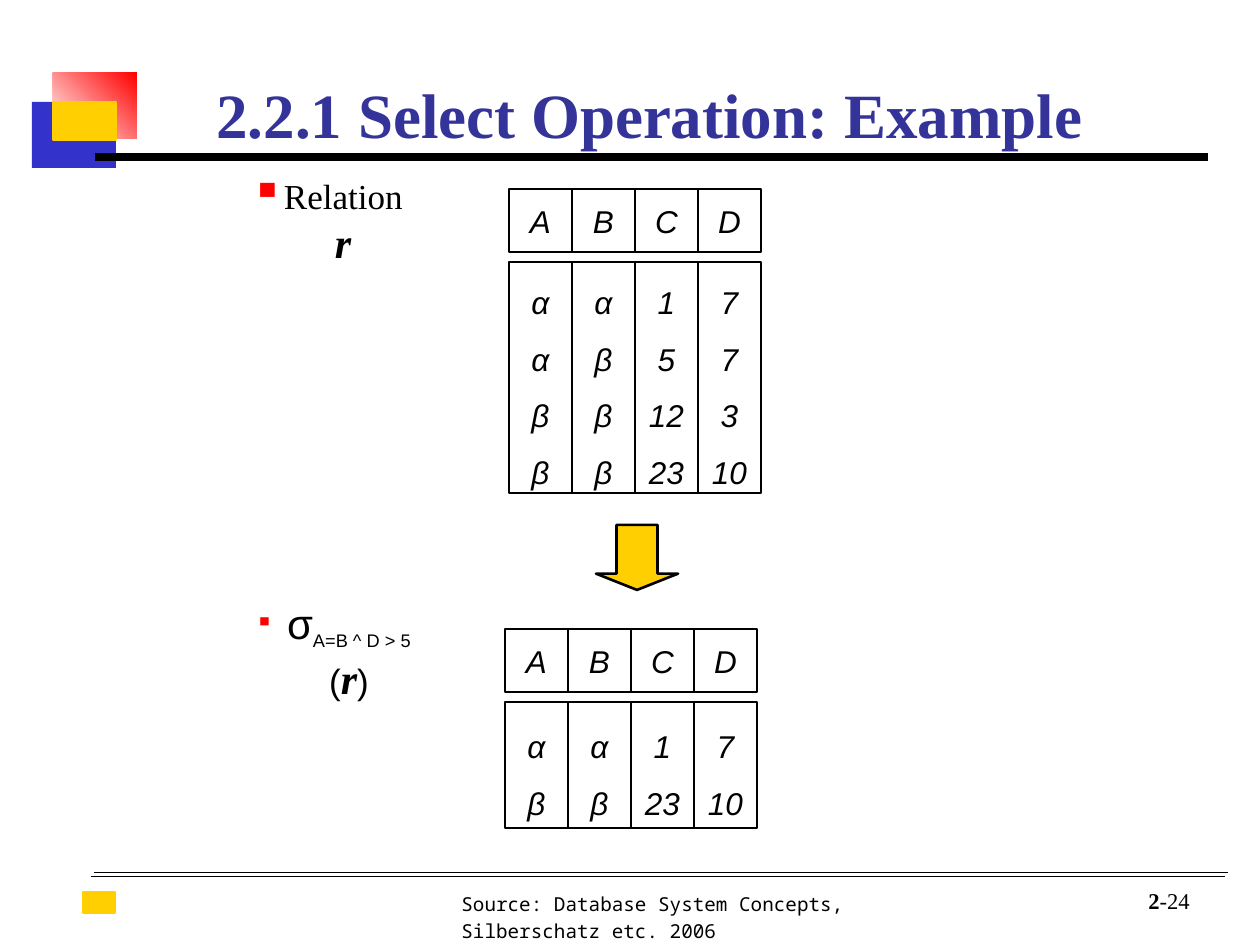
from lxml.etree import SubElement
from pptx import Presentation
from pptx.dml.color import RGBColor
from pptx.enum.shapes import MSO_CONNECTOR as Connector, MSO_SHAPE as Shape
from pptx.enum.text import MSO_ANCHOR as Anchor, PP_ALIGN as Align
from pptx.oxml.ns import qn
from pptx.util import Pt

SCALE = 914400 / 126
COLORS = {"black": "000000", "white": "FFFFFF", "blue": "3333CC",
          "title": "333399", "red": "FF0000", "gold": "FFCF01"}
SERIF, SANS, MONO = "Times New Roman", "Arial", "Noto Sans Mono"
CELL, GAP = 63, 10


def px(length):
    """Turn px into EMU."""
    return round(length * SCALE)


def rgb(name):
    """Look up a named colour."""
    return RGBColor.from_string(COLORS[name])


def style(span, size, font, color="black", bold=False, italic=False, baseline=0):
    """Format one run."""
    span.font.size, span.font.name = Pt(size), font
    span.font.bold, span.font.italic = bold, italic
    span.font.color.rgb = rgb(color)
    if baseline:
        span._r.get_or_add_rPr().set("baseline", str(baseline * 1000))


def add_spans(para, spans):
    """Fill a paragraph with (text, format) pairs."""
    for text, look in spans:
        span = para.add_run()
        span.text = text
        style(span, **look)


def add_text(parent, box, spans, align=Align.LEFT, anchor=Anchor.TOP, wrap=True):
    """Place a one-paragraph text box and return it."""
    label = parent.shapes.add_textbox(*map(px, box))
    frame = label.text_frame
    frame.word_wrap, frame.vertical_anchor = wrap, anchor
    para = frame.paragraphs[0]
    para.alignment = align
    add_spans(para, spans)
    return label


def add_block(parent, box, fill, line=None, width=0.75, shape=Shape.RECTANGLE):
    """Place a plain filled shape and return it."""
    block = parent.shapes.add_shape(shape, *map(px, box))
    block.shadow.inherit = False
    block.fill.solid()
    block.fill.fore_color.rgb = rgb(fill)
    if line:
        block.line.color.rgb = rgb(line)
        block.line.width = Pt(width)
    else:
        block.line.fill.background()
    return block


def add_rule(page, left, right, y, width):
    """Draw a horizontal black line."""
    rule = page.shapes.add_connector(Connector.STRAIGHT, px(left), px(y), px(right), px(y))
    rule.line.color.rgb = rgb("black")
    rule.line.width = Pt(width)
    SubElement(rule._element.spPr, qn("a:effectLst"))


def add_bullet(para, percent):
    """Give a paragraph a hanging red square bullet."""
    props = para._p.get_or_add_pPr()
    props.set("marL", str(px(32)))
    props.set("indent", str(-px(32)))
    color = SubElement(props, qn("a:buClr"))
    SubElement(color, qn("a:srgbClr"), val=COLORS["red"])
    SubElement(props, qn("a:buSzPct"), val=str(percent * 1000))
    SubElement(props, qn("a:buChar"), char="▪")


def add_bullet_text(parent, box, spans, percent, inset, wrap):
    """Place a centred bullet line."""
    label = add_text(parent, box, spans, Align.CENTER, Anchor.MIDDLE, wrap)
    label.text_frame.margin_left = label.text_frame.margin_right = px(inset)
    add_bullet(label.text_frame.paragraphs[0], percent)


def add_cell(parent, box, lines, spacing):
    """Place a bordered cell with one centred paragraph per line."""
    frame = add_block(parent, box, "white", "black").text_frame
    frame.word_wrap, frame.vertical_anchor = False, Anchor.MIDDLE
    frame.text = "\n".join(lines)
    for para in frame.paragraphs:
        para.alignment, para.line_spacing = Align.CENTER, spacing
        style(para.runs[0], 18, SANS, italic=True)


def add_relation(parent, left, top, body_height, rows):
    """Draw a header row and, below a gap, one tall cell per column."""
    lefts = [left + CELL * index for index in range(len(rows[0]))]
    for x, name in zip(lefts, "ABCD"):
        add_cell(parent, (x, top, CELL, CELL), [name], 1.0)
    for x, column in zip(lefts, zip(*rows)):
        add_cell(parent, (x, top + CELL + GAP, CELL, body_height), column, 1.5)


def add_emblem(page, left, top):
    """Draw the overlapping squares beside the title."""
    emblem = page.shapes.add_group_shape()
    add_block(emblem, (left, top + 29, 84, 66), "blue")
    fade = add_block(emblem, (left + 21, top, 84, 66), "red").fill
    fade.gradient()
    fade.gradient_angle = 45
    for stop, name, position in zip(fade.gradient_stops, ("white", "red"), (0, 1)):
        stop.color.rgb, stop.position = rgb(name), position
    add_block(emblem, (left + 21, top + 29, 63, 38), "gold", "gold")


def add_header(page, left, top):
    """Draw the emblem, the title and its rule."""
    add_emblem(page, left, top + 10)
    add_rule(page, left + 63, left + 1176, top + 94, 4.5)
    look = dict(size=36, font=SERIF, color="title", bold=True)
    add_text(page, (left + 116, top, 1003, 94),
             [("2.2.1 Select Operation: Example", look)], Align.CENTER, Anchor.BOTTOM)


def add_footer(page, left, top):
    """Draw the double rule, the source note and the page number."""
    add_rule(page, left + 11, left + 1145, top, 0.5)
    add_rule(page, left + 8, left + 1142, top + 4, 0.5)
    add_block(page, (left, top + 20, 32, 21), "gold", "gold")
    note = add_text(page, (left + 366, top + 9, 548, 68),
                    [("Source: Database System Concepts, Silberschatz etc. 2006",
                      dict(size=11, font=MONO))])
    note.text_frame.paragraphs[0].line_spacing = 1.2
    number = dict(size=12.9, font=SERIF)
    add_text(page, (left + 1014, top + 6, 105, 42),
             [("2", dict(number, bold=True)), ("-24", number)], Align.RIGHT, Anchor.BOTTOM)


def add_input(page, left, top):
    """Show relation r with its label."""
    group = page.shapes.add_group_shape()
    spans = [("Relation ", dict(size=20, font=SERIF)),
             ("r", dict(size=24, font=SERIF, bold=True, italic=True))]
    add_bullet_text(group, (left, top, 200, 63), spans, 125, 13, False)
    add_relation(group, left + 282, top, 231,
                 [("α", "α", "1", "7"), ("α", "β", "5", "7"),
                  ("β", "β", "12", "3"), ("β", "β", "23", "10")])


def add_result(page, left, top):
    """Show the selected rows with the selection formula."""
    group = page.shapes.add_group_shape()
    add_relation(group, left + 285, top + 13, 126,
                 [("α", "α", "1", "7"), ("β", "β", "23", "10")])
    plain = dict(size=20, font=SANS)
    spans = [("σ", dict(size=24, font=SANS)),
             ("A=B ^ D > 5", dict(size=18, font=SANS, baseline=-25)),
             (" ", dict(plain, baseline=-25)), ("(", plain),
             ("r", dict(size=24, font=SERIF, bold=True, italic=True)), (")", plain)]
    add_bullet_text(group, (left, top, 226, 68), spans, 60, 20, True)


def main():
    """Build and save the slide."""
    deck = Presentation()
    deck.slide_width, deck.slide_height = px(1260), px(945)
    page = deck.slides.add_slide(deck.slide_layouts[6])
    add_header(page, 32, 63)
    add_footer(page, 83, 872)
    add_input(page, 227, 189)
    add_result(page, 220, 616)
    add_block(page, (596, 525, 82, 65), "gold", "black", 1.5,
              Shape.DOWN_ARROW).adjustments[1] = 0.25
    deck.save("out.pptx")


if __name__ == "__main__":
    main()
